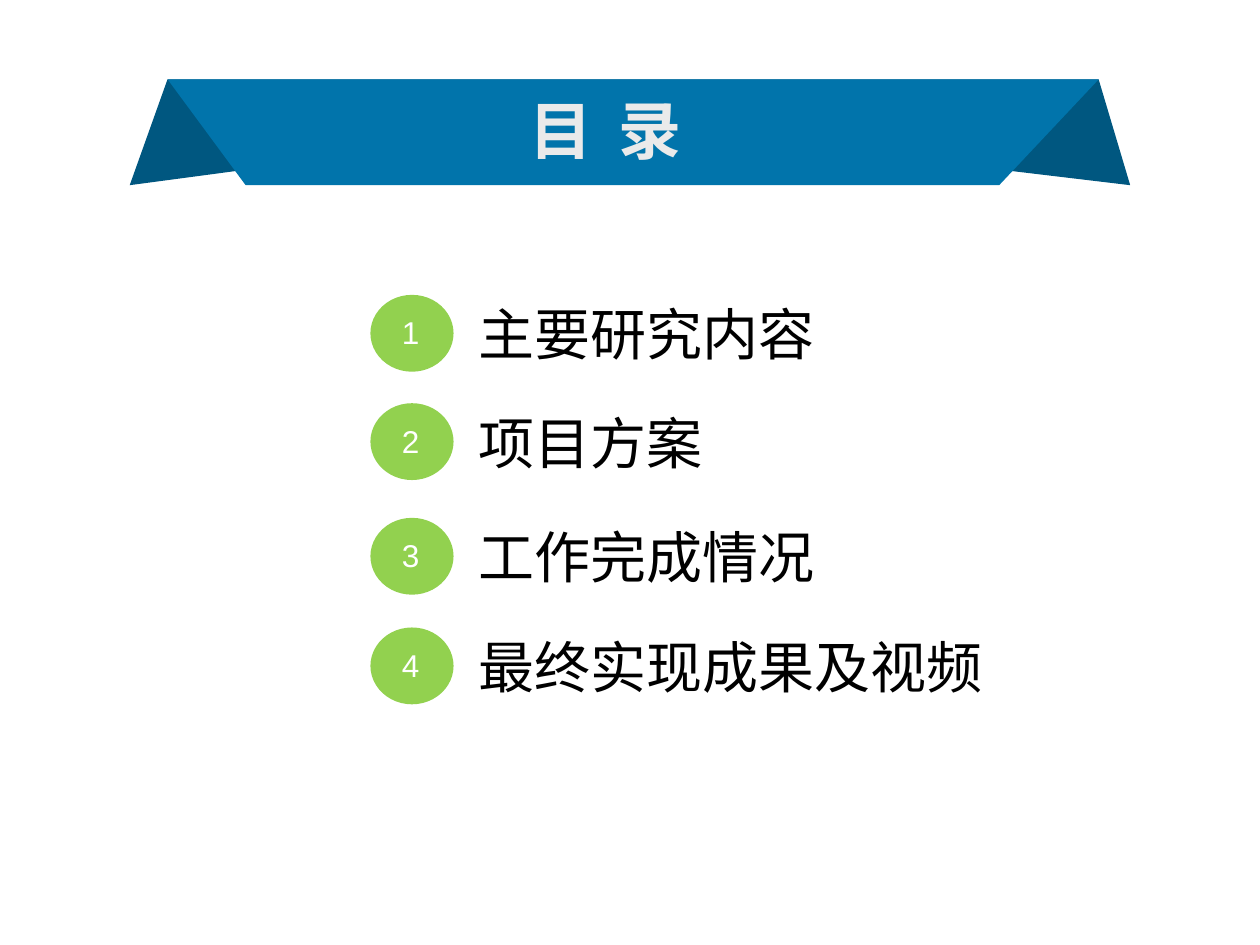
"""Build a contents slide: a folded ribbon title over four numbered topics."""
import pptx
import pptx.util
import pptx.dml.color
import pptx.enum.shapes
import pptx.enum.text

RGB = pptx.dml.color.RGBColor
BLUE = RGB(0x01, 0x74, 0xAB)
NAVY = RGB(0x00, 0x57, 0x80)
GREEN = RGB(0x92, 0xD1, 0x4F)
PALE = RGB(0xEA, 0xEA, 0xEA)
WHITE = RGB(0xFF, 0xFF, 0xFF)
BLACK = RGB(0x00, 0x00, 0x00)

ALIGN = pptx.enum.text.PP_ALIGN
MIDDLE = pptx.enum.text.MSO_ANCHOR.MIDDLE
SHAPE = pptx.enum.shapes.MSO_SHAPE
INCH = pptx.util.Inches

WIDE, HIGH = 10, 7.5
TOP, FOLD, BASE = 0.63, 0.97, 1.47
DOT_X, DOT_W, DOT_H = 2.94, 0.66, 0.61
NUM_X, NUM_W, NUM_H = 3.12, 0.29, 0.38
TEXT_X, TEXT_H, GLYPH, PAD = 3.7, 0.64, 0.45, 0.2
TOPICS = [
    (2.34, "主要研究内容"),
    (3.2, "项目方案"),
    (4.11, "工作完成情况"),
    (4.98, "最终实现成果及视频"),
]


def write(shape, text, size=32, color=BLACK, bold=False, align=ALIGN.LEFT,
          inset=(0.1, 0.05), track=0):
    frame = shape.text_frame
    frame.word_wrap = False
    frame.vertical_anchor = MIDDLE
    frame.margin_left = frame.margin_right = INCH(inset[0])
    frame.margin_top = frame.margin_bottom = INCH(inset[1])
    line = frame.paragraphs[0]
    line.alignment = align
    run = line.add_run()
    run.text = text
    font = run.font
    font.name, font.size, font.bold = "Arial", pptx.util.Pt(size), bold
    font.color.rgb = color
    if track:
        run._r.get_or_add_rPr().set("spc", str(track))


def paint(shape, color):
    shape.shadow.inherit = False
    shape.fill.solid()
    shape.fill.fore_color.rgb = color
    shape.line.fill.background()


def band(slide, points, color):
    start, *rest = [(INCH(x), INCH(y)) for x, y in points]
    pen = slide.shapes.build_freeform(*start)
    pen.add_line_segments(rest, close=True)
    paint(pen.convert_to_shape(), color)


def form(slide, kind, box, color):
    shape = slide.shapes.add_shape(kind, *map(INCH, box))
    paint(shape, color)
    return shape


def label(slide, text, box, **style):
    write(slide.shapes.add_textbox(*map(INCH, box)), text, **style)


def ribbon(slide):
    left, right = (1.33, TOP), (8.72, TOP)
    band(slide, [left, right, (8.97, BASE), (4.78, FOLD), (1.03, BASE)], NAVY)
    band(slide, [left, right, (7.93, BASE), (1.95, BASE)], BLUE)
    label(slide, "目 录", (4.1, 0.7, 1.41, 0.66), size=36, color=PALE,
          bold=True, align=ALIGN.CENTER, inset=(0.06, 0.03), track=360)


def topic(slide, num, top, text):
    mid = top + DOT_H / 2
    form(slide, SHAPE.OVAL, (DOT_X, top, DOT_W, DOT_H), GREEN)
    tag = form(slide, SHAPE.RECTANGLE,
               (NUM_X, mid - NUM_H / 2 - 0.01, NUM_W, NUM_H), GREEN)
    write(tag, str(num), size=18, color=WHITE, inset=(0.07, 0.04))
    label(slide, text,
          (TEXT_X, mid - TEXT_H / 2, PAD + GLYPH * len(text), TEXT_H))


def main():
    deck = pptx.Presentation()
    deck.slide_width, deck.slide_height = INCH(WIDE), INCH(HIGH)
    slide = deck.slides.add_slide(deck.slide_layouts[6])
    ribbon(slide)
    for num, (top, text) in enumerate(TOPICS, 1):
        topic(slide, num, top, text)
    deck.save("out.pptx")


if __name__ == "__main__":
    main()
